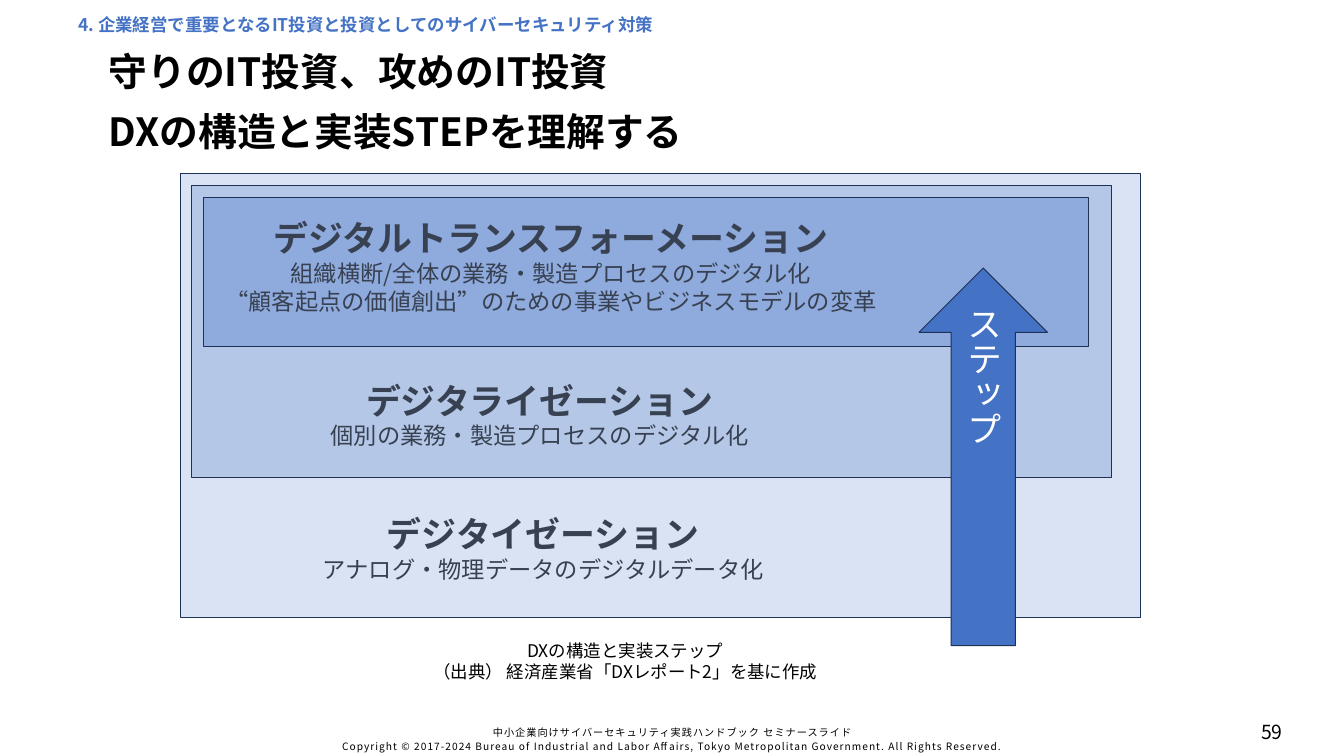
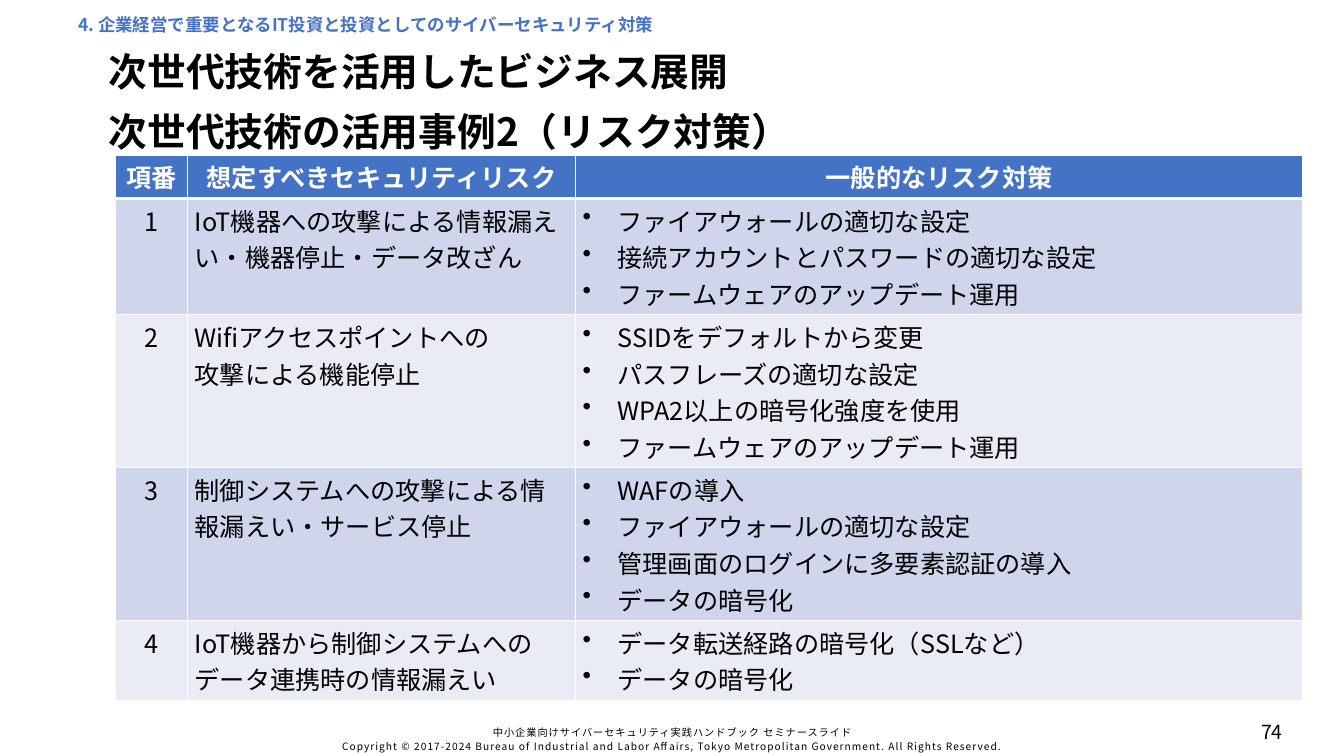
import dataclasses

import lxml.etree
import pptx
import pptx.dml.color
import pptx.enum.shapes
import pptx.enum.text
import pptx.oxml.ns
import pptx.util

PX = 9144
ALIGN = pptx.enum.text.PP_ALIGN
ANCHOR = pptx.enum.text.MSO_ANCHOR
SHAPE = pptx.enum.shapes.MSO_SHAPE
qn = pptx.oxml.ns.qn


@dataclasses.dataclass(frozen=True)
class Theme:
    font: str = "Noto Sans CJK JP"
    arrow_font: str = "Calibri"
    black: str = "000000"
    white: str = "FFFFFF"
    blue: str = "4472C4"
    outline: str = "1E3256"
    slate: str = "374151"
    layers: tuple = ("DAE3F3", "B4C7E7", "8FAADC")
    bands: tuple = ("CFD5EA", "E9EBF5")
    title: int = 40
    heading: int = 36
    table: int = 26
    body: int = 24
    page: int = 20
    small: int = 18
    footer: float = 10.5


THEME = Theme()


def px(n):
    return pptx.util.Emu(n * PX)


def rgb(color):
    return pptx.dml.color.RGBColor.from_string(color)


def write(tf, text, size=THEME.body, color=THEME.black, bold=False, font=THEME.font,
          align=ALIGN.LEFT, leading=None, tracking=None, bullet=False):
    p = tf.paragraphs[0] if not tf.text else tf.add_paragraph()
    p.text = text
    p.alignment = align
    if leading:
        p.line_spacing = leading
    if bullet:
        pPr = p._p.get_or_add_pPr()
        pPr.set("marL", str(px(50)))
        pPr.set("indent", str(px(-50)))
        lxml.etree.SubElement(pPr, qn("a:buChar"), char="•")
    for r in p.runs:
        r.font.size = pptx.util.Pt(size)
        r.font.bold = bold
        r.font.color.rgb = rgb(color)
        r.font.name = font
        rPr = r._r.get_or_add_rPr()
        lxml.etree.SubElement(rPr, qn("a:ea"), typeface=THEME.font)
        if tracking:
            rPr.set("spc", str(tracking))


class Deck:
    def __init__(self, theme):
        self.theme = theme
        self.prs = pptx.Presentation()
        self.prs.slide_width, self.prs.slide_height = px(1926), px(1083)
        self.s = None

    def slide(self, titles, number):
        t = self.theme
        self.s = self.prs.slides.add_slide(self.prs.slide_layouts[6])
        tf = self.text(374, 1033, 1179, 51, ANCHOR.MIDDLE)
        for line in (
            "中小企業向けサイバーセキュリティ実践ハンドブック セミナースライド",
            "Copyright © 2017-2024 Bureau of Industrial and Labor Affairs, "
            "Tokyo Metropolitan Government. All Rights Reserved.",
        ):
            write(tf, line, size=t.footer, align=ALIGN.CENTER, leading=1.1, tracking=110)
        tf = self.text(1738, 1029, 169, 38, ANCHOR.MIDDLE)
        write(tf, str(number), size=t.page, align=ALIGN.CENTER)
        tf = self.text(112, 28, 1748, 25)
        tf.margin_left = tf.margin_right = tf.margin_bottom = 0
        tf.margin_top = px(1)
        write(tf, "4. 企業経営で重要となるIT投資と投資としてのサイバーセキュリティ対策",
              size=t.small, color=t.blue, bold=True, leading=pptx.util.Pt(15))
        for i, title in enumerate(titles):
            tf = self.text(146, 76 + 85 * i, 1634, 61, ANCHOR.MIDDLE)
            write(tf, title, size=t.title, bold=True, leading=0.9)

    def text(self, x, y, w, h, anchor=ANCHOR.TOP):
        tf = self.s.shapes.add_textbox(px(x), px(y), px(w), px(h)).text_frame
        tf.word_wrap = True
        tf.vertical_anchor = anchor
        return tf

    def shape(self, kind, x, y, w, h, fill):
        sp = self.s.shapes.add_shape(kind, px(x), px(y), px(w), px(h))
        sp.shadow.inherit = False
        sp.fill.solid()
        sp.fill.fore_color.rgb = rgb(fill)
        sp.line.color.rgb = rgb(self.theme.outline)
        sp.line.width = pptx.util.Pt(1)
        return sp

    def stage(self, x, y, h, heading, *lines):
        t = self.theme
        tf = self.text(x, y, 1061, h)
        write(tf, heading, size=t.heading, color=t.slate, bold=True, align=ALIGN.CENTER)
        for line in lines:
            write(tf, line, color=t.slate, align=ALIGN.CENTER)

    def up_arrow(self, x, y, w, h, label):
        t = self.theme
        tf = self.shape(SHAPE.UP_ARROW, x, y, w, h, t.blue).text_frame
        tf.word_wrap = True
        tf.vertical_anchor = ANCHOR.MIDDLE
        tf._txBody.bodyPr.set("vert", "eaVert")
        write(tf, label, size=t.heading, color=t.white, font=t.arrow_font)

    def cell(self, cell, fill, top=1, bottom=1):
        cell.fill.solid()
        cell.fill.fore_color.rgb = rgb(fill)
        tcPr = cell._tc.get_or_add_tcPr()
        for i, (side, width) in enumerate(zip("LRTB", (1, 1, top, bottom))):
            ln = lxml.etree.Element(qn("a:ln" + side), w=str(pptx.util.Pt(width)))
            solid = lxml.etree.SubElement(ln, qn("a:solidFill"))
            lxml.etree.SubElement(solid, qn("a:srgbClr"), val=self.theme.white)
            tcPr.insert(i, ln)
        return cell.text_frame

    def table(self, x, y, widths, heights, header, rows):
        t = self.theme
        table = self.s.shapes.add_table(len(heights), len(widths), px(x), px(y),
                                        px(sum(widths)), px(sum(heights))).table
        table.horz_banding = False
        for column, w in zip(table.columns, widths):
            column.width = px(w)
        for row, h in zip(table.rows, heights):
            row.height = px(h)
        for j, label in enumerate(header):
            tf = self.cell(table.cell(0, j), t.blue, bottom=3)
            write(tf, label, size=t.table, color=t.white, bold=True, align=ALIGN.CENTER)
        for i, (risk, measures) in enumerate(rows, 1):
            fill = t.bands[(i - 1) % 2]
            number, left, right = (
                self.cell(table.cell(i, j), fill, top=3 if i == 1 else 1) for j in range(3))
            write(number, str(i), size=t.table, align=ALIGN.CENTER)
            write(left, risk, size=t.table)
            for measure in measures:
                write(right, measure, size=t.table, bullet=True)


def structure_slide(deck):
    t = deck.theme
    deck.slide(("守りのIT投資、攻めのIT投資", "DXの構造と実装STEPを理解する"), 59)
    boxes = ((259, 249, 1375, 636), (275, 266, 1318, 418), (292, 283, 1268, 213))
    for box, fill in zip(boxes, t.layers):
        deck.shape(SHAPE.RECTANGLE, *box, fill)
    deck.stage(248, 730, 111, "デジタイゼーション", "アナログ・物理データのデジタルデータ化")
    deck.stage(243, 539, 111, "デジタライゼーション", "個別の業務・製造プロセスのデジタル化")
    deck.stage(259, 306, 151, "デジタルトランスフォーメーション",
               "組織横断/全体の業務・製造プロセスのデジタル化",
               "“顧客起点の価値創出”のための事業やビジネスモデルの変革")
    deck.up_arrow(1317, 384, 184, 541, "ステップ")
    tf = deck.text(275, 912, 1242, 71)
    for line in ("DXの構造と実装ステップ", "（出典） 経済産業省「DXレポート2」を基に作成"):
        write(tf, line, size=t.small, align=ALIGN.CENTER)


def risk_slide(deck):
    deck.slide(("次世代技術を活用したビジネス展開", "次世代技術の活用事例2（リスク対策）"), 74)
    firewall = "ファイアウォールの適切な設定"
    firmware = "ファームウェアのアップデート運用"
    encryption = "データの暗号化"
    rows = (
        ("IoT機器への攻撃による情報漏えい・機器停止・データ改ざん",
         (firewall, "接続アカウントとパスワードの適切な設定", firmware)),
        ("Wifiアクセスポイントへの\v攻撃による機能停止",
         ("SSIDをデフォルトから変更", "パスフレーズの適切な設定",
          "WPA2以上の暗号化強度を使用", firmware)),
        ("制御システムへの攻撃による情報漏えい・サービス停止",
         ("WAFの導入", firewall, "管理画面のログインに多要素認証の導入", encryption)),
        ("IoT機器から制御システムへのデータ連携時の情報漏えい",
         ("データ転送経路の暗号化（SSLなど）", encryption)),
    )
    deck.table(165, 222, (104, 556, 1042), (62, 167, 219, 219, 115),
               ("項番", "想定すべきセキュリティリスク", "一般的なリスク対策"), rows)


def main():
    deck = Deck(THEME)
    structure_slide(deck)
    risk_slide(deck)
    deck.prs.save("out.pptx")


if __name__ == "__main__":
    main()
